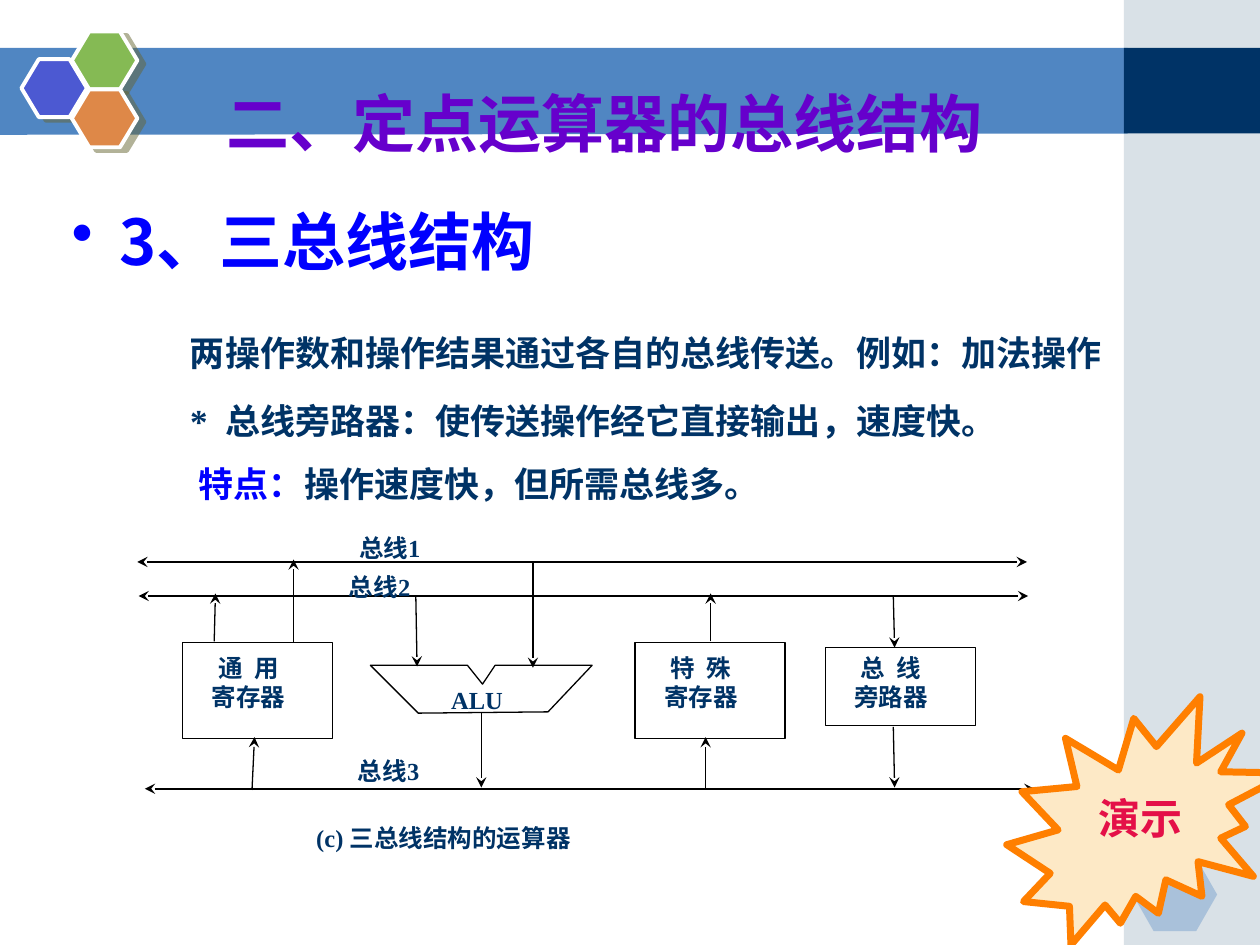
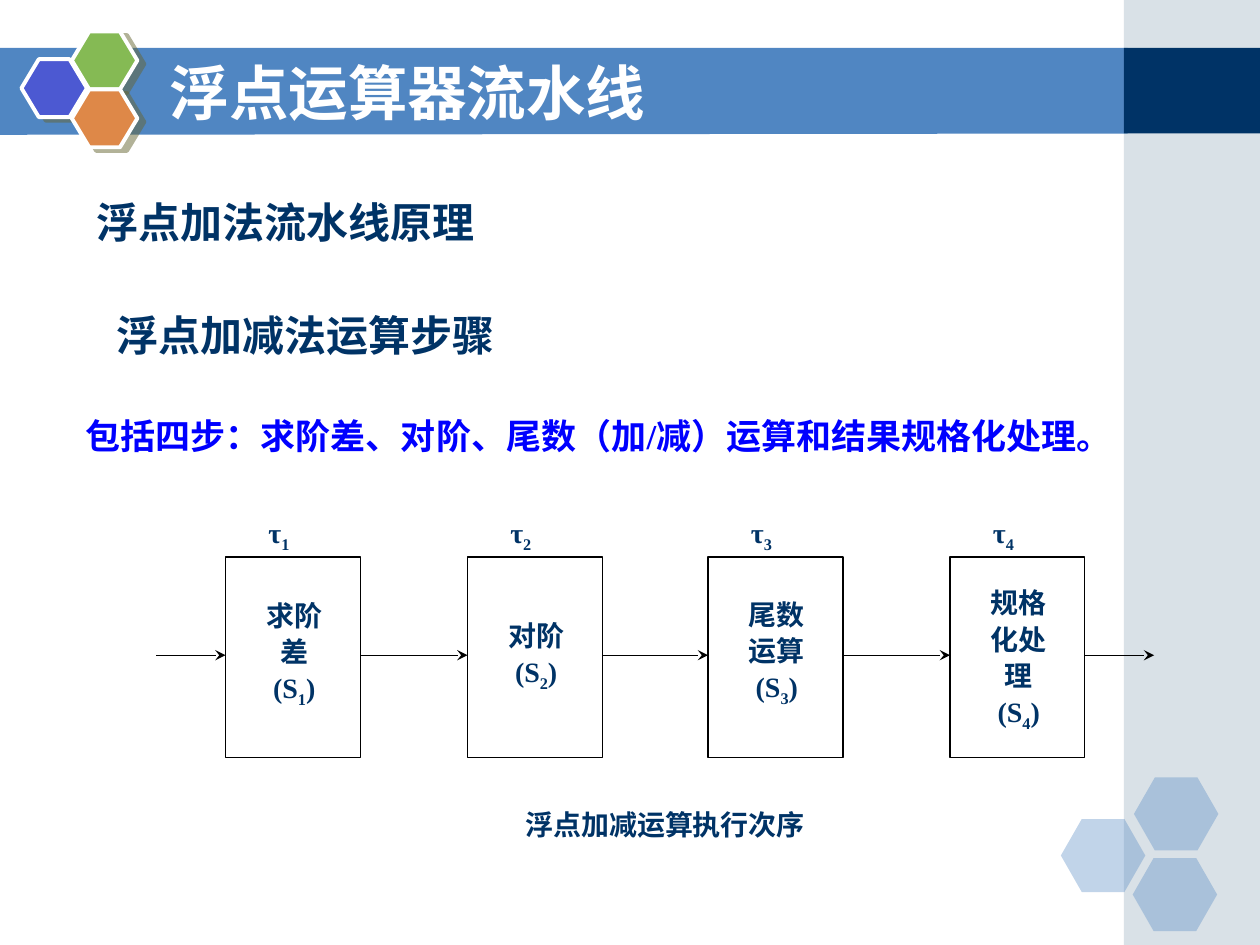
from dataclasses import dataclass
from typing import NamedTuple

from lxml.etree import SubElement
from pptx import Presentation
from pptx.dml.color import RGBColor
from pptx.enum.shapes import MSO_CONNECTOR, MSO_SHAPE
from pptx.enum.text import MSO_ANCHOR, PP_ALIGN
from pptx.oxml.ns import qn
from pptx.shapes.autoshape import Shape
from pptx.slide import Slide
from pptx.util import Pt

PX = 9144
SANS = "Noto Sans CJK SC"
SERIF = "Times New Roman"
COLORS = {
    "band": "5086C2", "side": "A0B5C4", "navy": "003366", "white": "FFFFFF",
    "black": "000000", "indigo": "4C59D2", "green": "85BA54", "orange": "DE8848",
    "shade": "666633", "blue": "0000FF", "violet": "6600CC",
    "burst": "FDE9C6", "burst_edge": "FF7F00", "demo": "E41048",
}


class Area(NamedTuple):
    """Position and size in px."""
    left: int
    top: int
    width: int
    height: int


class Arrow(NamedTuple):
    """Line from one point to another, pointed at its end or at both ends."""
    x1: int
    y1: int
    x2: int
    y2: int
    both: bool = False
    width: float = 0.75


class Piece(NamedTuple):
    """Stretch of text that may differ from the style of its block."""
    text: str
    color: str = ""
    font: str = ""
    baseline: int = 0
    spacing: int = 0


@dataclass(frozen=True)
class Style:
    """Look shared by all the lines of a text block."""
    size: int
    font: str = SERIF
    color: str = "navy"
    align: PP_ALIGN = PP_ALIGN.LEFT
    insets: tuple[int, int, int, int] = (10, 5, 10, 5)
    anchor: MSO_ANCHOR = MSO_ANCHOR.TOP
    after: float = 0
    indents: tuple[int, ...] = ()
    bullet: str = ""


class Block(NamedTuple):
    """Free-standing text: place, style and lines of pieces."""
    area: Area
    style: Style
    lines: list[list[Piece]]


class Unit(NamedTuple):
    """Register or bypass box on the bus diagram."""
    area: Area
    inset: int
    first: str
    second: str
    last: str


class Stage(NamedTuple):
    """Pipeline step and the top of its caption."""
    words: list[str]
    caption_top: int


HEADING = Style(36, SANS, "violet", PP_ALIGN.CENTER)
BAND_TITLE = Style(34, SANS, "white", anchor=MSO_ANCHOR.MIDDLE)
TOPIC = Style(36, SANS, "blue", indents=(38,), bullet="•")
BODY = Style(20)
SUBHEAD = Style(24, SANS)
DIAGRAM = Style(14, align=PP_ALIGN.JUSTIFY, insets=(0, 0, 0, 0))
DEMO = Style(24, "DejaVu Sans", "demo", PP_ALIGN.CENTER)
TAU = Style(16, align=PP_ALIGN.JUSTIFY, insets=(0, 0, 0, 0))
STEP = Style(16, align=PP_ALIGN.CENTER, insets=(0, 0, 0, 0), after=1.5)
CAPTION = Style(16, SANS, align=PP_ALIGN.CENTER, insets=(0, 2, 0, 0))

BAND = [(0, 38), (895, 38), (895, 106), (0, 107)]
EMBLEM = [(17, 47, "indigo"), (57, 25, "green"), (57, 71, "orange")]
CORNER = [(842, 650), (900, 617), (899, 681)]

BUS_TEXTS = [
    Block(Area(148, 362, 617, 49), BODY,
          [[Piece("特点：", "blue"), Piece("操作速度快，但所需总线多。")]]),
    Block(Area(141, 258, 820, 44), BODY,
          [[Piece("两操作数和操作结果通过各自的总线传送。例如：加法操作")]]),
    Block(Area(141, 312, 859, 43), BODY,
          [[Piece("*"), Piece(" ", spacing=500),
            Piece("总线旁路器：使传送操作经它直接输出，速度快。")]]),
    Block(Area(358, 544, 71, 19), DIAGRAM, [[Piece("ALU")]]),
    Block(Area(251, 653, 388, 38), DIAGRAM, [[Piece("(c) 三总线结构的运算器")]]),
    Block(Area(285, 423, 106, 19), DIAGRAM, [[Piece("总线1")]]),
    Block(Area(277, 454, 106, 19), DIAGRAM, [[Piece("总线2")]]),
    Block(Area(284, 600, 82, 19), DIAGRAM, [[Piece("总线3")]]),
    Block(Area(47, 156, 884, 71), TOPIC, [[Piece("3、三总线结构")]]),
    Block(Area(55, 62, 850, 72), HEADING, [[Piece("二、定点运算器的总线结构")]]),
]
ALU = [(435, 565), (332, 566), (294, 528), (371, 528),
       (383, 543), (393, 528), (470, 528)]
UNITS = [
    Unit(Area(145, 510, 119, 76), 8, "通", "用", "寄存器"),
    Unit(Area(504, 510, 119, 76), 8, "特", "殊", "寄存器"),
    Unit(Area(655, 514, 119, 62), 4, "总", "线", "旁路器"),
]
BUS_ARROWS = [
    Arrow(170, 509, 171, 471), Arrow(200, 627, 202, 585),
    Arrow(330, 473, 331, 529), Arrow(423, 446, 423, 530),
    Arrow(564, 509, 564, 471), Arrow(560, 626, 560, 585),
    Arrow(233, 510, 233, 444), Arrow(709, 473, 710, 514),
    Arrow(382, 566, 382, 625), Arrow(709, 577, 710, 625),
    *(Arrow(x, y, x + 706, y, True, 1)
      for x, y in [(109, 446), (110, 473), (115, 626)]),
]

PIPELINE_TEXTS = [
    Block(Area(125, 42, 733, 62), BAND_TITLE, [[Piece("浮点运算器流水线")]]),
    Block(Area(58, 328, 942, 36),
          Style(20, SANS, "blue", insets=(10, 1, 10, 1)),
          [[Piece("包括四步：求阶差、对阶、尾数（加"), Piece("/", font=SERIF),
            Piece("减）运算和结果规格化处理。")]]),
    Block(Area(83, 241, 519, 50), SUBHEAD, [[Piece("浮点加减法运算步骤")]]),
    Block(Area(67, 151, 475, 50), SUBHEAD, [[Piece("浮点加法流水线原理")]]),
    Block(Area(270, 639, 516, 53), CAPTION, [[Piece("浮点加减运算执行次序")]]),
]
STAGES = [
    Stage(["求阶", "差"], 475), Stage(["对阶"], 491),
    Stage(["尾数", "运算"], 474), Stage(["规格", "化处", "理"], 465),
]
STAGE_WIDTH = 107
FLOW_Y = 520


def rgb(name: str) -> RGBColor:
    """Look up a colour by name."""
    return RGBColor.from_string(COLORS[name])


def paint(shape: Shape, fill: str = "", line: str = "",
          width: float = 0.75, alpha: int = 100) -> Shape:
    """Set fill, outline and transparency, without a shadow."""
    shape.shadow.inherit = False
    if fill:
        shape.fill.solid()
        shape.fill.fore_color.rgb = rgb(fill)
    else:
        shape.fill.background()
    if alpha < 100:
        tint = shape._element.spPr.find(f".//{qn('a:srgbClr')}")
        SubElement(tint, qn("a:alpha"), val=str(alpha * 1000))
    if line:
        shape.line.color.rgb = rgb(line)
        shape.line.width = Pt(width)
    else:
        shape.line.fill.background()
    return shape


def add_preset(slide: Slide, kind: MSO_SHAPE, area: Area) -> Shape:
    """Add a preset shape at a px area."""
    return slide.shapes.add_shape(kind, *(PX * side for side in area))


def add_outline(slide: Slide, points: list[tuple[int, int]]) -> Shape:
    """Add a closed polygon through px points."""
    builder = slide.shapes.build_freeform(*points[0], scale=PX)
    builder.add_line_segments(points[1:], close=True)
    return builder.convert_to_shape()


def write(shape: Shape, lines: list[list[Piece]], style: Style) -> None:
    """Fill a shape with styled lines."""
    frame = shape.text_frame
    frame.word_wrap = True
    frame.vertical_anchor = style.anchor
    (frame.margin_left, frame.margin_top, frame.margin_right,
     frame.margin_bottom) = (PX * inset for inset in style.insets)
    frame.text = "\n".join(line[0].text for line in lines)
    for index, (paragraph, line) in enumerate(zip(frame.paragraphs, lines)):
        paragraph.alignment = style.align
        paragraph.space_after = Pt(style.after)
        properties = paragraph._p.get_or_add_pPr()
        if style.indents:
            margin = PX * style.indents[index]
            properties.set("marL", str(margin))
            properties.set("indent", str(-margin if style.bullet else 0))
        if style.bullet:
            SubElement(properties, qn("a:buChar"), char=style.bullet)
        for piece in line[1:]:
            paragraph.add_run().text = piece.text
        for run, piece in zip(paragraph.runs, line):
            run.font.size = Pt(style.size)
            run.font.bold = True
            run.font.name = piece.font or style.font
            run.font.color.rgb = rgb(piece.color or style.color)
            character = run._r.get_or_add_rPr()
            SubElement(character, qn("a:ea"), typeface=SANS)
            if piece.baseline:
                character.set("baseline", str(piece.baseline * 1000))
            if piece.spacing:
                character.set("spc", str(piece.spacing))


def add_block(slide: Slide, block: Block) -> None:
    """Add a text box."""
    box = slide.shapes.add_textbox(*(PX * side for side in block.area))
    write(box, block.lines, block.style)


def add_arrow(slide: Slide, arrow: Arrow) -> None:
    """Add a black stealth-headed arrow."""
    connector = slide.shapes.add_connector(
        MSO_CONNECTOR.STRAIGHT, *(PX * value for value in arrow[:4]))
    connector.line.color.rgb = rgb("black")
    connector.line.width = Pt(arrow.width)
    properties = connector._element.spPr
    stroke = properties.find(qn("a:ln"))
    for end in ["a:headEnd", "a:tailEnd"] if arrow.both else ["a:tailEnd"]:
        SubElement(stroke, qn(end), type="stealth")
    SubElement(properties, qn("a:effectLst"))


def add_hexagon(slide: Slide, area: Area, slant: float) -> Shape:
    """Add a hexagon with the given slant."""
    hexagon = add_preset(slide, MSO_SHAPE.HEXAGON, area)
    hexagon.adjustments[0] = slant
    return hexagon


def add_backdrop(slide: Slide) -> None:
    """Draw the band, side panel and hexagons that every slide has."""
    paint(add_outline(slide, BAND), "band")
    paint(add_preset(slide, MSO_SHAPE.RECTANGLE, Area(892, 0, 108, 750)),
          "side", alpha=40)
    paint(add_preset(slide, MSO_SHAPE.RECTANGLE, Area(892, 38, 108, 68)), "navy")
    for left, top in CORNER:
        paint(add_hexagon(slide, Area(left, top, 67, 58), 0.286), "band", alpha=35)
    for left, top, fill in EMBLEM:
        cell = paint(add_hexagon(slide, Area(left, top, 52, 46), 0.3),
                     fill, "white", 2.25)
        effects = cell._element.spPr.find(qn("a:effectLst"))
        shadow = SubElement(effects, qn("a:outerShdw"), blurRad="0",
                            dist=str(Pt(4.5)), dir=str(27 * 60000),
                            algn="ctr", rotWithShape="0")
        shade = SubElement(shadow, qn("a:srgbClr"), val=COLORS["shade"])
        SubElement(shade, qn("a:alpha"), val="50000")


def build_bus_slide(slide: Slide) -> None:
    """Draw the three-bus arithmetic unit."""
    add_backdrop(slide)
    paint(add_outline(slide, ALU), line="black")
    for unit in UNITS:
        box = paint(add_preset(slide, MSO_SHAPE.RECTANGLE, unit.area), line="black")
        style = Style(14, align=PP_ALIGN.JUSTIFY, indents=(24, 19),
                      insets=(4, unit.inset, 4, unit.inset))
        write(box, [[Piece(unit.first), Piece(" ", spacing=350), Piece(unit.second)],
                    [Piece(unit.last)]], style)
    for arrow in BUS_ARROWS:
        add_arrow(slide, arrow)
    paint(add_preset(slide, MSO_SHAPE.EXPLOSION2, Area(799, 553, 224, 197)),
          "burst", "burst_edge", 4)
    add_block(slide, Block(Area(807, 624, 197, 50), DEMO, [[Piece("演示")]]))
    for block in BUS_TEXTS:
        add_block(slide, block)


def build_pipeline_slide(slide: Slide) -> None:
    """Draw the four-stage floating-point pipeline."""
    add_backdrop(slide)
    for block in PIPELINE_TEXTS:
        add_block(slide, block)
    lefts = [179 + round(index * 575 / 3) for index in range(len(STAGES))]
    for number, (left, stage) in enumerate(zip(lefts, STAGES), start=1):
        paint(add_preset(slide, MSO_SHAPE.RECTANGLE,
                         Area(left, 442, STAGE_WIDTH, 159)), line="black")
        subscript = Piece(str(number), baseline=-25)
        add_block(slide, Block(Area(left + 34, 409, 52, 25), TAU,
                               [[Piece("τ"), subscript]]))
        lines = [[Piece(word)] for word in stage.words]
        lines.append([Piece("(S"), subscript, Piece(")")])
        add_block(slide, Block(Area(left + 26, stage.caption_top, 57, 33 * len(lines)),
                               STEP, lines))
    starts = [124, *(left + STAGE_WIDTH for left in lefts)]
    for start, end in zip(starts, [*lefts, 916]):
        add_arrow(slide, Arrow(start, FLOW_Y, end, FLOW_Y))


def main() -> None:
    """Build and save both slides."""
    deck = Presentation()
    deck.slide_width, deck.slide_height = 1000 * PX, 750 * PX
    blank = deck.slide_layouts[6]
    for build in (build_bus_slide, build_pipeline_slide):
        build(deck.slides.add_slide(blank))
    deck.save("out.pptx")


if __name__ == "__main__":
    main()
